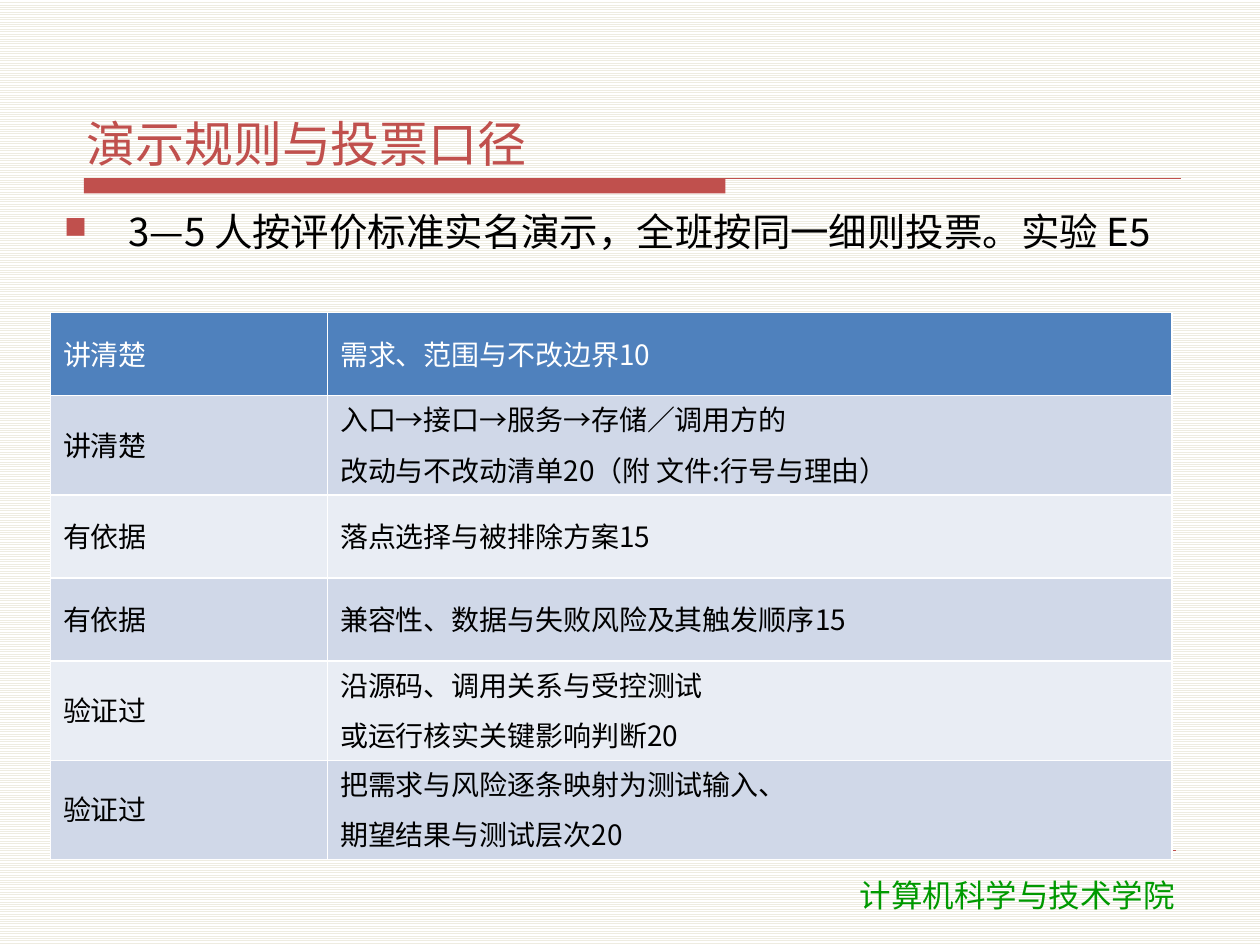
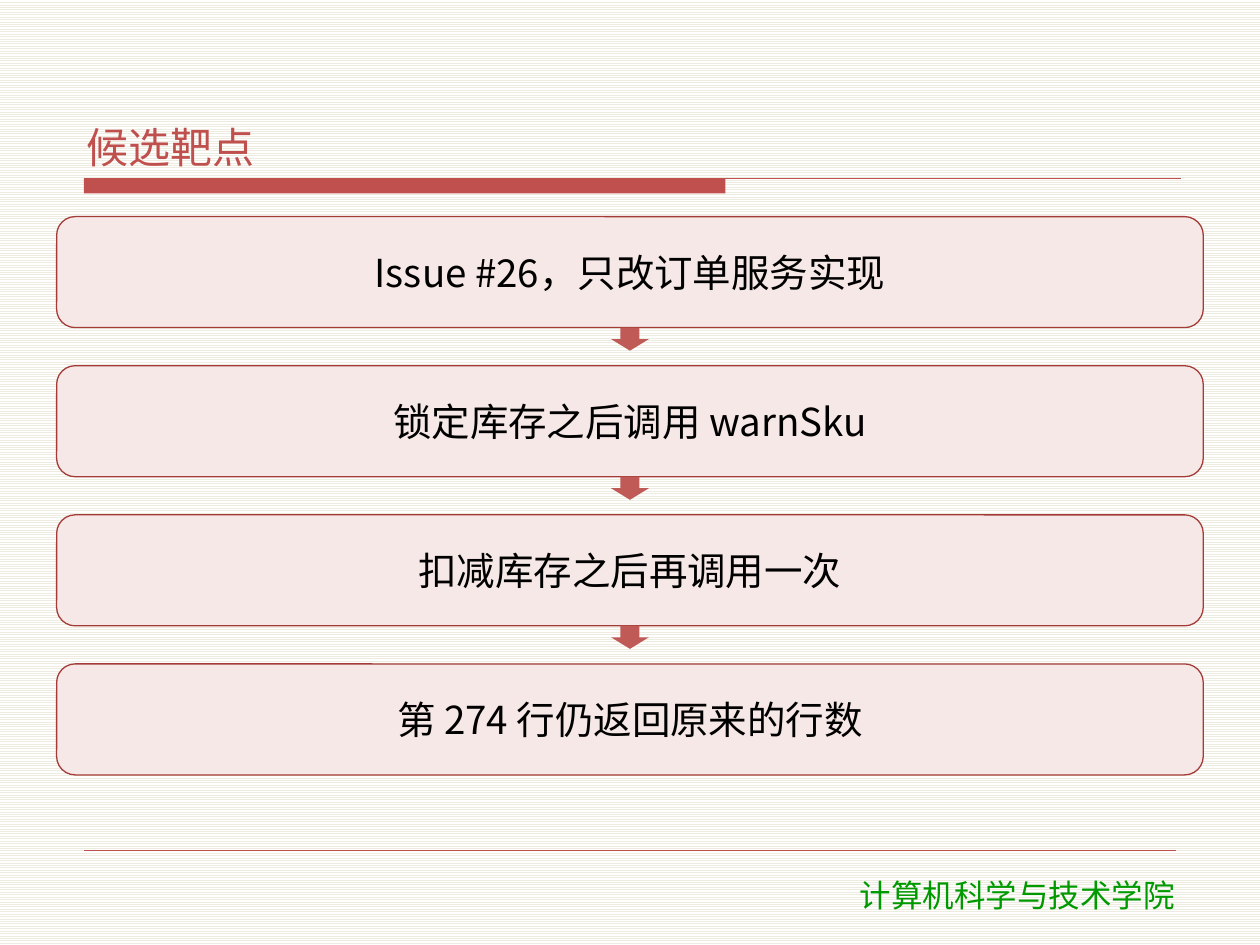
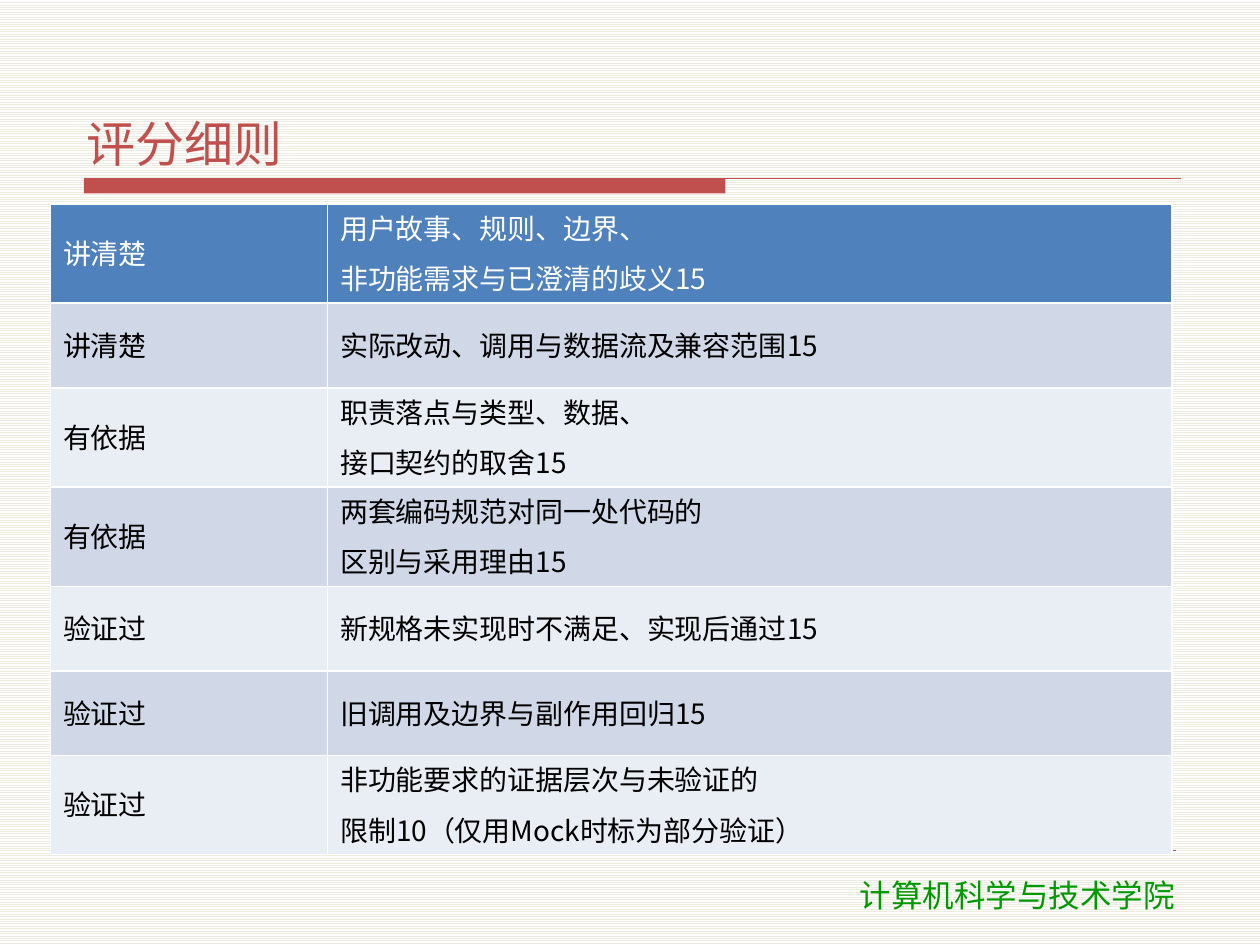
from lxml import etree
from pptx import Presentation
from pptx.dml.color import RGBColor
from pptx.enum.dml import MSO_PATTERN
from pptx.enum.shapes import MSO_CONNECTOR, MSO_SHAPE
from pptx.enum.text import MSO_ANCHOR, PP_ALIGN
from pptx.oxml.ns import qn
from pptx.util import Pt

STRIPES = MSO_PATTERN.LIGHT_HORIZONTAL
STRAIGHT = MSO_CONNECTOR.STRAIGHT
RECTANGLE = MSO_SHAPE.RECTANGLE
ROUNDED = MSO_SHAPE.ROUNDED_RECTANGLE
DOWN_ARROW = MSO_SHAPE.DOWN_ARROW
TOP, MIDDLE, BOTTOM = MSO_ANCHOR.TOP, MSO_ANCHOR.MIDDLE, MSO_ANCHOR.BOTTOM
LEFT, CENTER = PP_ALIGN.LEFT, PP_ALIGN.CENTER

COLORS = {
    "paper": "FFFFFF", "stripe": "EEECE1", "accent": "C0504D",
    "school": "009900", "ink": "000000", "white": "FFFFFF",
    "header": "4F81BD", "odd_row": "D0D8E8", "even_row": "E9EDF4",
    "step": "F6E8E6", "step_edge": "A33B38", "arrow": "C05A56",
}
FONT = "Noto Sans CJK SC"
SCHOOL_FONT = "DejaVu Sans"
SCHOOL = "计算机科学与技术学院"
TIGHT = (4.3, 1.4)
NORMAL = (7.2, 3.6)
TABLE_LEFT = 28.8
COLUMN_WIDTHS = (158.4, 482.4)
TALL_ROW = 56.7
STEP_LEFT, STEP_TOP, STEP_WIDTH, STEP_HEIGHT = 32.4, 123.8, 655.2, 63.4
STEP_PITCH = 85.2
ARROW_WIDTH, ARROW_HEIGHT = 21.6, 13.2

PRESENTATION_RULES = [
    ("讲清楚", ["需求、范围与不改边界10"]),
    ("讲清楚", ["入口→接口→服务→存储／调用方的",
             "改动与不改动清单20（附 文件:行号与理由）"]),
    ("有依据", ["落点选择与被排除方案15"]),
    ("有依据", ["兼容性、数据与失败风险及其触发顺序15"]),
    ("验证过", ["沿源码、调用关系与受控测试", "或运行核实关键影响判断20"]),
    ("验证过", ["把需求与风险逐条映射为测试输入、", "期望结果与测试层次20"]),
]
SCORING_RULES = [
    ("讲清楚", ["用户故事、规则、边界、", "非功能需求与已澄清的歧义15"]),
    ("讲清楚", ["实际改动、调用与数据流及兼容范围15"]),
    ("有依据", ["职责落点与类型、数据、", "接口契约的取舍15"]),
    ("有依据", ["两套编码规范对同一处代码的", "区别与采用理由15"]),
    ("验证过", ["新规格未实现时不满足、实现后通过15"]),
    ("验证过", ["旧调用及边界与副作用回归15"]),
    ("验证过", ["非功能要求的证据层次与未验证的",
             "限制10（仅用Mock时标为部分验证）"]),
]
CANDIDATE_STEPS = [
    "Issue #26，只改订单服务实现",
    "锁定库存之后调用 warnSku",
    "扣减库存之后再调用一次",
    "第 274 行仍返回原来的行数",
]


def color(name):
    """Return the named colour."""
    return RGBColor.from_string(COLORS[name])


def add_span(para, text, size, ink="ink", font=FONT):
    """Add one run with its font, size and colour."""
    span = para.add_run()
    span.text = text
    span.font.name = font
    span.font.size = Pt(size)
    span.font.bold = False
    span.font.color.rgb = color(ink)
    east_asian = etree.Element(qn("a:ea"), typeface=font)
    span.font._element.find(qn("a:latin")).addnext(east_asian)


def set_frame(frame, anchor, insets):
    """Set wrapping, anchor and insets of a text frame."""
    frame.word_wrap = True
    frame.vertical_anchor = anchor
    frame.margin_left = frame.margin_right = Pt(insets[0])
    frame.margin_top = frame.margin_bottom = Pt(insets[1])


def add_text(page, place, text, size, ink="ink", font=FONT, anchor=TOP,
             insets=TIGHT, align=LEFT):
    """Add a one-paragraph text box and return its paragraph."""
    box = page.shapes.add_textbox(*map(Pt, place))
    set_frame(box.text_frame, anchor, insets)
    para = box.text_frame.paragraphs[0]
    para.alignment = align
    add_span(para, text, size, ink, font)
    return para


def add_block(page, preset, place, fill, edge=None):
    """Add a filled preset shape, outlined if an edge colour is given."""
    block = page.shapes.add_shape(preset, *map(Pt, place))
    block.shadow.inherit = False
    block.fill.solid()
    block.fill.fore_color.rgb = color(fill)
    if edge:
        block.line.color.rgb = color(edge)
        block.line.width = Pt(0.75)
    else:
        block.line.fill.background()
    return block


def add_rule(page, left, right, top, width):
    """Add a thin horizontal accent line."""
    rule = page.shapes.add_connector(
        STRAIGHT, Pt(left), Pt(top), Pt(right), Pt(top))
    rule.line.color.rgb = color("accent")
    rule.line.width = Pt(width)
    etree.SubElement(rule._element.spPr, qn("a:effectLst"))


def add_page(deck, title, title_size=28):
    """Add a page with striped background, title, rules and school name."""
    page = deck.slides.add_slide(deck.slide_layouts[6])
    backdrop = page.background.fill
    backdrop.patterned()
    backdrop.pattern = STRIPES
    backdrop.fore_color.rgb = color("stripe")
    backdrop.back_color.rgb = color("paper")
    add_block(page, RECTANGLE, (48, 102, 366.5, 8.6), "accent")
    add_rule(page, 48, 674.6, 102, 0.75)
    add_rule(page, 48, 672, 486, 0.25)
    add_text(page, (436.6, 496.8, 289.4, 28.8), SCHOOL, 18, "school",
             SCHOOL_FONT, insets=NORMAL, align=CENTER)
    para = add_text(page, (45, 24.2, 630, 75.6), title, title_size,
                    "accent", anchor=BOTTOM)
    para.space_after = Pt(2)
    return page


def add_bullet(page, place, text):
    """Add a line of text with a square accent bullet."""
    para = add_text(page, place, text, 22)
    para.space_after = Pt(2)
    properties = para._p.get_or_add_pPr()
    properties.set("marL", str(Pt(36.7)))
    properties.set("indent", str(-Pt(36.7)))
    bullet_color = etree.SubElement(properties, qn("a:buClr"))
    etree.SubElement(bullet_color, qn("a:srgbClr"), val=COLORS["accent"])
    etree.SubElement(properties, qn("a:buSzPct"), val="80000")
    etree.SubElement(properties, qn("a:buChar"), char="■")


def set_borders(cell):
    """Draw thin white borders around a cell."""
    properties = cell._tc.get_or_add_tcPr()
    for side in "LRTB":
        border = etree.SubElement(
            properties, qn(f"a:ln{side}"), w=str(Pt(1)))
        solid = etree.SubElement(border, qn("a:solidFill"))
        etree.SubElement(solid, qn("a:srgbClr"), val=COLORS["white"])


def fill_cell(cell, lines, fill, ink):
    """Write the lines of a cell, one paragraph each."""
    cell.vertical_anchor = TOP if len(lines) > 1 else MIDDLE
    cell.fill.solid()
    cell.fill.fore_color.rgb = color(fill)
    frame = cell.text_frame
    for index, line in enumerate(lines):
        para = frame.add_paragraph() if index else frame.paragraphs[0]
        para.line_spacing = 0.9
        if index:
            para.space_before = Pt(6)
        para.space_after = Pt(2)
        add_span(para, line, 16, ink)


def add_rules_table(page, top, row_height, rules):
    """Add a two-column table of criteria with a header row and bands."""
    heights = [TALL_ROW if len(details) > 1 else row_height
               for _, details in rules]
    table = page.shapes.add_table(
        len(rules), len(COLUMN_WIDTHS), Pt(TABLE_LEFT), Pt(top),
        Pt(sum(COLUMN_WIDTHS)), Pt(sum(heights))).table
    for column, width in zip(table.columns, COLUMN_WIDTHS):
        column.width = Pt(width)
    for index, (criterion, details) in enumerate(rules):
        table.rows[index].height = Pt(heights[index])
        fill = "odd_row" if index % 2 else "even_row"
        ink = "ink"
        if index == 0:
            fill, ink = "header", "white"
        for number, lines in enumerate(([criterion], details)):
            cell = table.cell(index, number)
            set_borders(cell)
            fill_cell(cell, lines, fill, ink)


def add_steps(page, steps):
    """Stack rounded step boxes with a down arrow under all but the last."""
    arrow_left = STEP_LEFT + (STEP_WIDTH - ARROW_WIDTH) / 2
    for index, text in enumerate(steps):
        top = STEP_TOP + index * STEP_PITCH
        box = add_block(page, ROUNDED,
                        (STEP_LEFT, top, STEP_WIDTH, STEP_HEIGHT),
                        "step", "step_edge")
        set_frame(box.text_frame, MIDDLE, TIGHT)
        para = box.text_frame.paragraphs[0]
        para.alignment = CENTER
        para.space_after = Pt(2)
        add_span(para, text, 22)
        if index < len(steps) - 1:
            add_block(page, DOWN_ARROW,
                      (arrow_left, top + STEP_HEIGHT,
                       ARROW_WIDTH, ARROW_HEIGHT), "arrow")


def main():
    """Build the three pages and save the deck."""
    deck = Presentation()
    deck.slide_width, deck.slide_height = Pt(720), Pt(540)

    page = add_page(deck, "演示规则与投票口径")
    add_bullet(page, (32.4, 117.4, 655.2, 56.2),
               "3—5 人按评价标准实名演示，全班按同一细则投票。实验 E5")
    add_rules_table(page, 178.6, 47.5, PRESENTATION_RULES)

    page = add_page(deck, "候选靶点", 24)
    add_steps(page, CANDIDATE_STEPS)

    page = add_page(deck, "评分细则")
    add_rules_table(page, 116.6, 48.35, SCORING_RULES)

    deck.save("out.pptx")


if __name__ == "__main__":
    main()
